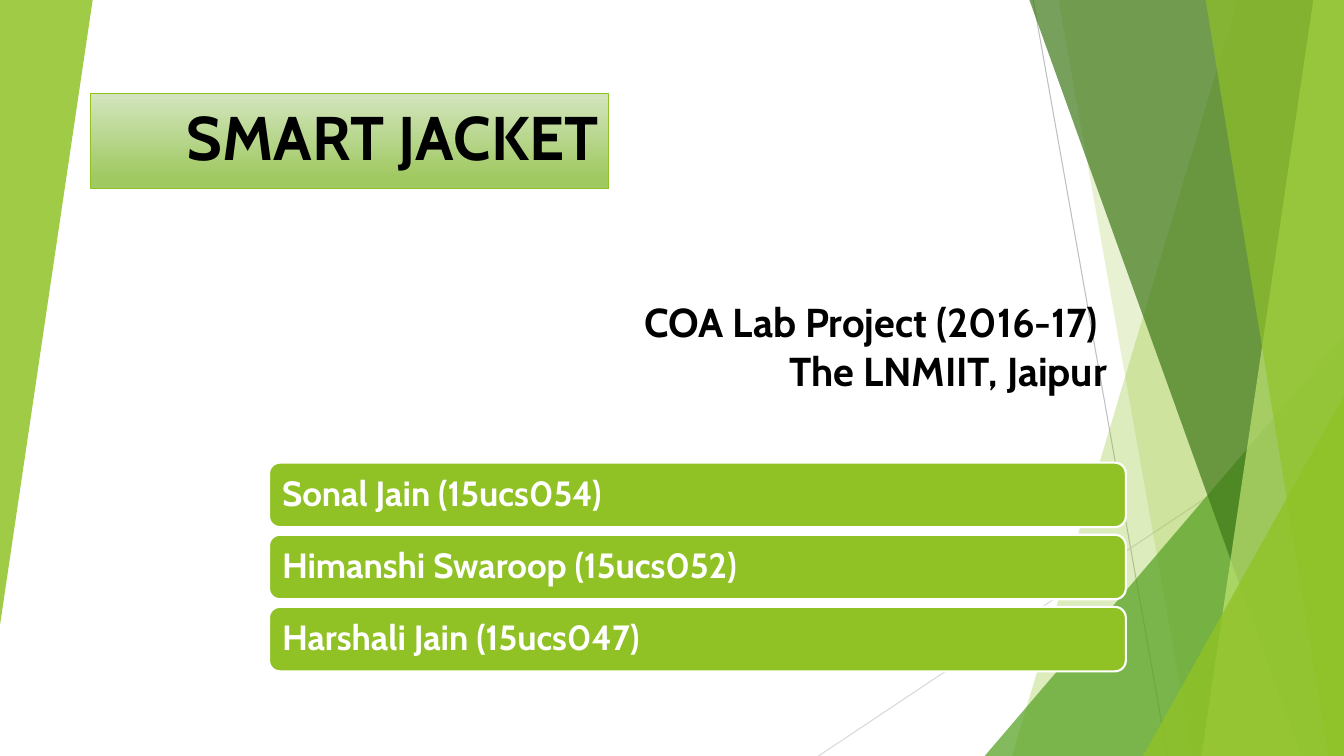
from lxml import etree
from pptx import Presentation
from pptx.dml.color import RGBColor
from pptx.enum.shapes import MSO_CONNECTOR, MSO_SHAPE
from pptx.enum.text import MSO_ANCHOR, PP_ALIGN
from pptx.oxml.ns import qn
from pptx.util import Pt

TRIANGLE, RECTANGLE, ROUNDED = (
    MSO_SHAPE.ISOSCELES_TRIANGLE, MSO_SHAPE.RECTANGLE, MSO_SHAPE.ROUNDED_RECTANGLE)
STRAIGHT = MSO_CONNECTOR.STRAIGHT
LEFT, RIGHT = PP_ALIGN.LEFT, PP_ALIGN.RIGHT
TOP, MIDDLE, BOTTOM = MSO_ANCHOR.TOP, MSO_ANCHOR.MIDDLE, MSO_ANCHOR.BOTTOM

WIDTH, HEIGHT = 960, 540
FONT = "Cabin"
GREEN, WHITE, BLACK = "90C226", "FFFFFF", "000000"

TITLE = "SMART JACKET"
PROJECT = "COA Lab Project (2016-17) \vThe LNMIIT, Jaipur"
MEMBERS = [
    "Sonal Jain (15ucs054)",
    "Himanshi Swaroop (15ucs052)",
    "Harshali Jain (15ucs047)",
]

THIN_LINES = [
    ((738, 0), (834, 540), "BFBFBF"),
    ((960, 290), (584.6, 540), "D9D9D9"),
]
FACETS = [
    ("band", (884.2, 722.9), GREEN, 30),
    ("band", (756, 851.8), GREEN, 20),
    ("triangle", (703.4, 239.8, 256.6, 300.2, 0), "54A021", 72),
    ("band", (735.1, 929.5), "3F7819", 70),
    ("band", (938.2, 858.2), "C0E474", 70),
    ("band", (861.1, 949), GREEN, 65),
    ("triangle", (816.5, 283, 143.5, 257, 0), GREEN, 80),
    ("triangle", (0, 0, 66.2, 446.4, 180), GREEN, 85),
]
ROW_LEFT, ROW_TOP, ROW_WIDTH, ROW_HEIGHT, ROW_PITCH = 192.2, 330.5, 612, 46, 51.5


def colour(value):
    return RGBColor.from_string(value)


def paint(shape, fill, opacity=100, line=None, weight=1):
    shape.shadow.inherit = False
    shape.fill.solid()
    shape.fill.fore_color.rgb = colour(fill)
    if opacity < 100:
        tint = shape.fill._xPr.find(qn("a:solidFill"))[0]
        etree.SubElement(tint, qn("a:alpha"), val=str(opacity * 1000))
    if line:
        shape.line.color.rgb = colour(line)
        shape.line.width = Pt(weight)
    else:
        shape.line.fill.background()


def write(box, text, size, ink=BLACK, align=LEFT, anchor=TOP, spacing=1,
          insets=(7.2, 3.6, 7.2, 3.6)):
    frame = box.text_frame
    frame.word_wrap = True
    frame.vertical_anchor = anchor
    (frame.margin_left, frame.margin_top,
     frame.margin_right, frame.margin_bottom) = map(Pt, insets)
    para = frame.paragraphs[0]
    para.text = text
    para.alignment = align
    para.line_spacing = spacing
    para.font.name = FONT
    para.font.size = Pt(size)
    para.font.bold = True
    para.font.color.rgb = colour(ink)


def add_band(shapes, top_x, bottom_x):
    outline = shapes.build_freeform(Pt(top_x), Pt(-0.5))
    corners = [(WIDTH, -0.5), (WIDTH, HEIGHT), (bottom_x, HEIGHT)]
    outline.add_line_segments([(Pt(x), Pt(y)) for x, y in corners], close=True)
    return outline.convert_to_shape()


def add_triangle(shapes, left, top, width, height, rotation):
    triangle = shapes.add_shape(TRIANGLE, Pt(left), Pt(top), Pt(width), Pt(height))
    triangle.adjustments[0] = 1
    triangle.rotation = rotation
    return triangle


def add_backdrop(shapes):
    for start, end, tone in THIN_LINES:
        line = shapes.add_connector(STRAIGHT, *map(Pt, start + end))
        line.line.color.rgb = colour(tone)
        line.line.width = Pt(0.75)
        etree.SubElement(line._element.spPr, qn("a:effectLst"))
    builders = {"band": add_band, "triangle": add_triangle}
    for kind, geometry, tone, opacity in FACETS:
        paint(builders[kind](shapes, *geometry), tone, opacity)


def add_headings(shapes):
    project = shapes.add_textbox(Pt(185.8), Pt(221.8), Pt(612), Pt(120.2))
    write(project, PROJECT, 28.8, align=RIGHT, anchor=BOTTOM,
          insets=(7.2, 3.6, 7.2, 60.5))

    title = shapes.add_shape(RECTANGLE, Pt(64.8), Pt(67), Pt(370), Pt(67.7))
    paint(title, GREEN, line=GREEN)
    title.fill.gradient()
    title.fill.gradient_angle = 270
    stops = [(0, "D3E5BE"), (0.88, "A0C962")]
    for stop, (position, tone) in zip(title.fill.gradient_stops, stops):
        stop.position = position
        stop.color.rgb = colour(tone)
    write(title, TITLE, 44, align=RIGHT)


def add_members(shapes):
    for index, member in enumerate(MEMBERS):
        row = shapes.add_shape(ROUNDED, Pt(ROW_LEFT), Pt(ROW_TOP + index * ROW_PITCH),
                               Pt(ROW_WIDTH), Pt(ROW_HEIGHT))
        paint(row, GREEN, line=WHITE, weight=1.5)
        write(row, member, 25, ink=WHITE, anchor=MIDDLE, spacing=0.9,
              insets=(7.2, 7.2, 7.2, 7.2))


def main():
    deck = Presentation()
    deck.slide_width, deck.slide_height = Pt(WIDTH), Pt(HEIGHT)
    page = deck.slides.add_slide(deck.slide_layouts[6])
    add_backdrop(page.shapes)
    add_headings(page.shapes)
    add_members(page.shapes)
    deck.save("out.pptx")


if __name__ == "__main__":
    main()
